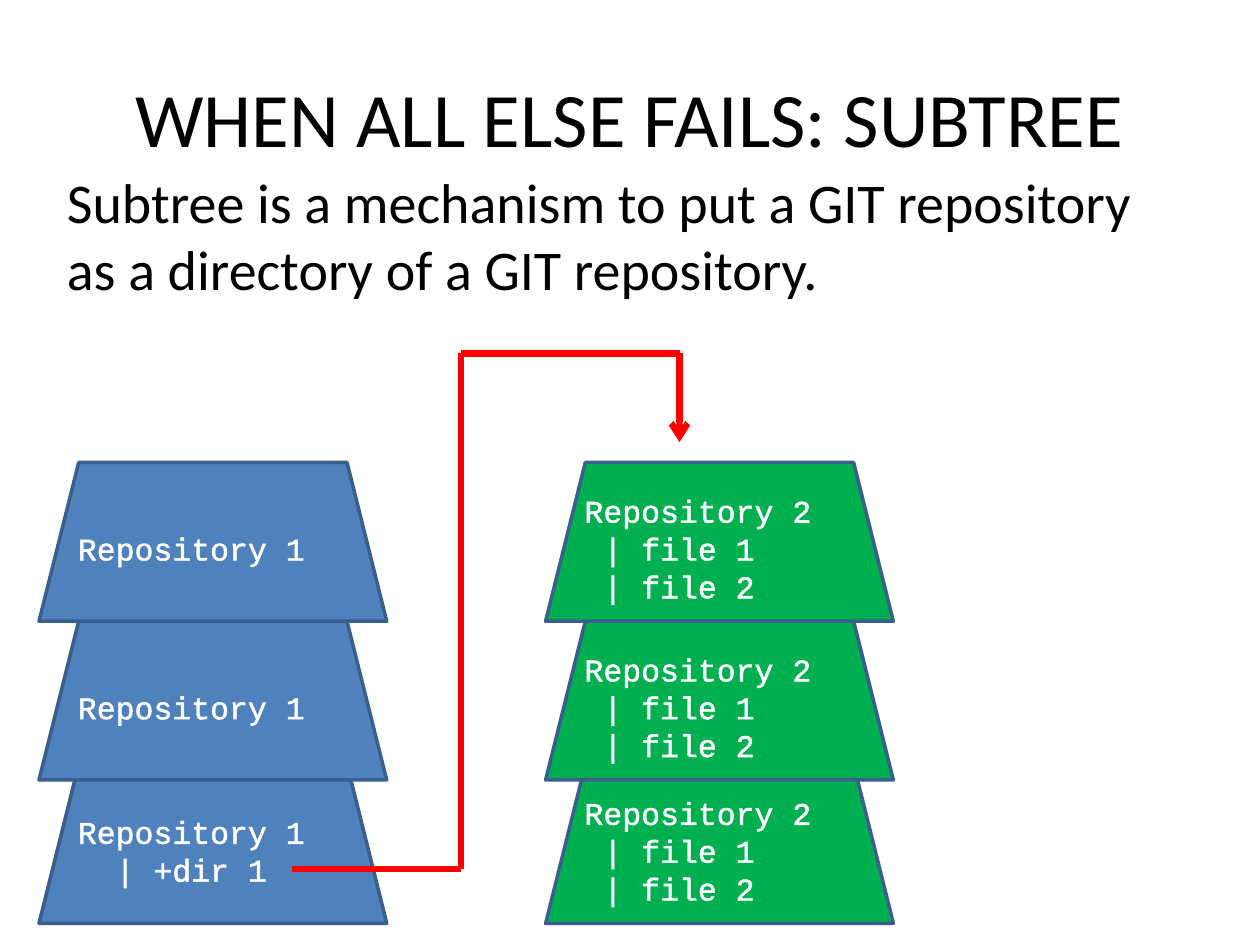
from lxml import etree
from pptx import Presentation
from pptx.dml.color import RGBColor
from pptx.enum import shapes, text
from pptx.oxml import ns
from pptx.util import Pt

COLORS = {"black": "000000", "white": "FFFFFF", "blue": "4F81BD",
          "green": "00B050", "edge": "3A5F8C", "red": "FF0000"}
LAYER_TOPS = (437, 355, 264.3)  # bottom layer first, so upper ones overlap it
LAYER_SIZE = (198.7, 90.7)
FILES = ["Repository 2", " | file 1", " | file 2"]


def color(name):
    return RGBColor.from_string(COLORS[name])


def add_child(parent, tag, **attributes):
    return etree.SubElement(parent, ns.qn(tag), attributes)


def write_para(para, words, font="Calibri", size=18, fill="black",
               align=text.PP_ALIGN.LEFT, outline=None):
    para.alignment = align
    para.space_before = Pt(0)
    span = para.add_run()
    span.text = words
    span.font.name = font
    span.font.size = Pt(size)
    span.font.color.rgb = color(fill)
    if outline:
        line = etree.Element(ns.qn("a:ln"), w=str(Pt(outline)))
        add_child(add_child(line, "a:solidFill"), "a:srgbClr", val=COLORS[fill])
        span.font._element.insert(0, line)


def place(shape, box):
    shape.left, shape.top, shape.width, shape.height = map(Pt, box)


def fill_title(page, box):
    title = page.shapes.title
    place(title, box)
    title.text_frame.vertical_anchor = text.MSO_ANCHOR.MIDDLE
    write_para(title.text_frame.paragraphs[0], "WHEN ALL ELSE FAILS: SUBTREE",
               size=44, align=text.PP_ALIGN.CENTER)


def fill_body(page, box):
    body = page.placeholders[1]
    place(body, box)
    frame = body.text_frame
    frame.auto_size = text.MSO_AUTO_SIZE.NONE
    para = frame.paragraphs[0]
    properties = para._p.get_or_add_pPr()
    properties.set("marL", "0")
    properties.set("indent", "0")
    add_child(properties, "a:buNone")
    write_para(para, "Subtree is a mechanism to put a GIT repository "
                     "as a directory of a GIT repository.", size=32)


def add_layer(page, box, fill, lines):
    left, top, width, height = map(Pt, box)
    layer = page.shapes.add_shape(shapes.MSO_SHAPE.TRAPEZOID,
                                  left, top, width, height)
    layer.shadow.inherit = False
    layer.fill.solid()
    layer.fill.fore_color.rgb = color(fill)
    layer.line.color.rgb = color("edge")
    layer.line.width = Pt(2)
    frame = layer.text_frame
    frame.word_wrap = True
    frame.vertical_anchor = text.MSO_ANCHOR.MIDDLE
    for index, words in enumerate(lines):
        para = frame.add_paragraph() if index else frame.paragraphs[0]
        write_para(para, words, font="Courier New", fill="white", outline=1.45)


def add_stack(page, left, fill, layers):
    for top, lines in zip(LAYER_TOPS, layers):
        add_layer(page, (left, top, *LAYER_SIZE), fill, lines)


def add_route(page, points):
    for start, end in zip(points, points[1:]):
        segment = page.shapes.add_connector(shapes.MSO_CONNECTOR.STRAIGHT,
                                            *map(Pt, start + end))
        segment.line.color.rgb = color("red")
        segment.line.width = Pt(3.5)
        add_child(segment._element.spPr, "a:effectLst")
    # Arrowhead on the last segment only
    add_child(segment.line._get_or_add_ln(), "a:tailEnd", type="arrow")


def main():
    deck = Presentation()
    deck.slide_width, deck.slide_height = Pt(720), Pt(540)
    page = deck.slides.add_slide(deck.slide_layouts[1])

    # Heading and explanation
    fill_title(page, (36, 21.6, 648, 90))
    fill_body(page, (31, 92.2, 648, 81.4))

    # Repository histories
    add_stack(page, 22.3, "blue", [["Repository 1", "  | +dir 1"],
                                   ["Repository 1"], ["Repository 1"]])
    add_stack(page, 311.8, "green", [FILES] * 3)

    # Route from the directory to the second repository
    add_route(page, [(167, 496.6), (263.5, 496.6), (263.5, 202),
                     (388.3, 202), (388.3, 252.7)])

    deck.save("out.pptx")


if __name__ == "__main__":
    main()
